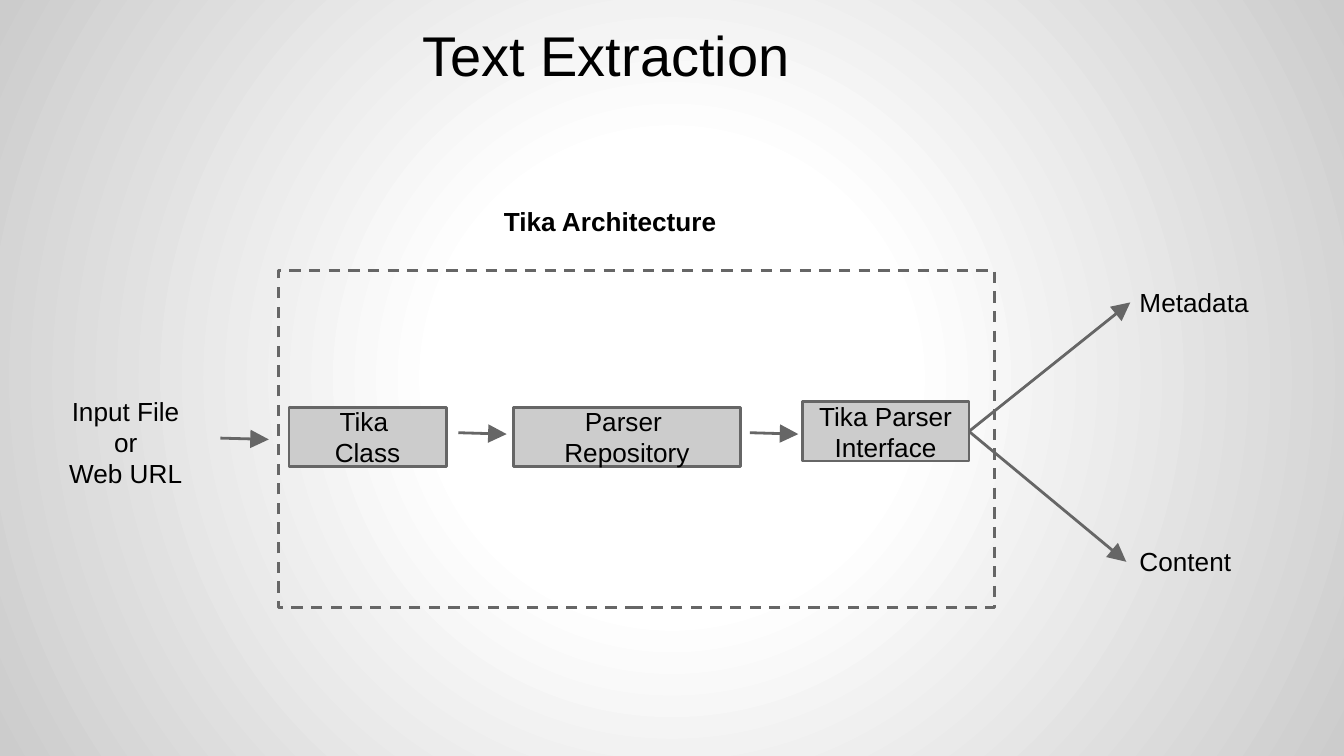
from pptx import Presentation
from pptx.dml.color import RGBColor
from pptx.enum.dml import MSO_LINE
from pptx.enum.shapes import MSO_CONNECTOR, MSO_SHAPE
from pptx.enum.text import MSO_ANCHOR, PP_ALIGN
from pptx.oxml import parse_xml
from pptx.oxml.ns import nsdecls, qn
from pptx.util import Inches, Pt

BLACK = RGBColor(0x00, 0x00, 0x00)
WHITE = RGBColor(0xFF, 0xFF, 0xFF)
SILVER = RGBColor(0xCC, 0xCC, 0xCC)
GREY = RGBColor(0x66, 0x66, 0x66)

WIDTH = 10
HEIGHT = WIDTH * 9 / 16
BOX_HEIGHT = 0.44
ARROW_LENGTH, ARROW_DROP = 0.36, 0.01
BACKDROP = [(0, WHITE), (30, WHITE), (100, SILVER)]

TITLE = ("Text Extraction", (2.58, -0.19, 3.86, 0.94))
FRAME = (2.07, 2.01, 5.33, 2.51)
STAGES = [
    (["Tika ", "Class"], 2.15, 3.03, 1.17),
    (["Parser ", "Repository"], 3.82, 3.03, 1.69),
    (["Tika Parser", " Interface "], 5.97, 2.99, 1.24),
]
LABELS = [
    (["Tika Architecture"], (2.76, 1.43, 3.56, 0.5), PP_ALIGN.CENTER, True),
    (["Input File", "or", "Web URL"], (-0.09, 2.84, 2.05, 0.64), PP_ALIGN.CENTER, False),
    (["Metadata"], (8.06, 2.03, 1.65, 0.32), PP_ALIGN.CENTER, False),
    (["Content"], (8.38, 3.96, 1.09, 0.44), PP_ALIGN.LEFT, False),
]
FLOW_STARTS = [(1.64, 3.26), (3.41, 3.22), (5.58, 3.22)]
OUTPUT_ENDS = [(8.41, 2.25), (8.38, 4.18)]

TEXT_FRAME = {
    "word_wrap": True,
    "margin_left": Inches(0.1),
    "margin_right": Inches(0.1),
    "margin_top": Inches(0.1),
    "margin_bottom": Inches(0.1),
}


def apply(target, values):
    for name, value in values.items():
        setattr(target, name, value)


def place(box):
    return [Inches(length) for length in box]


def write(holder, lines, anchor, align=PP_ALIGN.CENTER, size=14, bold=False):
    frame = holder.text_frame
    apply(frame, TEXT_FRAME | {"vertical_anchor": anchor})
    frame.text = "\n".join(lines)
    for paragraph in frame.paragraphs:
        apply(paragraph, {"alignment": align, "line_spacing": 1.0,
                          "space_before": Pt(0), "space_after": Pt(0)})
        for run in paragraph.runs:
            apply(run.font, {"name": "Arial", "size": Pt(size), "bold": bold})
            run.font.color.rgb = BLACK


def outline(line):
    line.color.rgb = GREY
    line.width = Pt(1.5)


def add_rectangle(slide, box):
    rectangle = slide.shapes.add_shape(MSO_SHAPE.RECTANGLE, *place(box))
    rectangle.shadow.inherit = False
    outline(rectangle.line)
    return rectangle


def add_arrow(slide, start, end):
    arrow = slide.shapes.add_connector(MSO_CONNECTOR.STRAIGHT, *place(start + end))
    outline(arrow.line)
    properties = arrow.element.spPr
    properties.find(qn("a:ln")).append(
        parse_xml(f'<a:tailEnd {nsdecls("a")} type="triangle" w="lg" len="lg"/>')
    )
    properties.append(parse_xml(f'<a:effectLst {nsdecls("a")}/>'))


def paint_backdrop(slide):
    slide.background.fill.gradient()
    linear = slide.element.find(f'.//{qn("a:gradFill")}')
    stops = "".join(
        f'<a:gs pos="{share * 1000}"><a:srgbClr val="{color}"/></a:gs>' for share, color in BACKDROP
    )
    radial = parse_xml(
        f'<a:gradFill {nsdecls("a")} rotWithShape="1"><a:gsLst>{stops}</a:gsLst>'
        '<a:path path="circle"><a:fillToRect l="50000" t="50000" r="50000" b="50000"/></a:path>'
        '</a:gradFill>'
    )
    linear.getparent().replace(linear, radial)


def main():
    deck = Presentation()
    apply(deck, {"slide_width": Inches(WIDTH), "slide_height": Inches(HEIGHT)})
    slide = deck.slides.add_slide(deck.slide_layouts[5])
    paint_backdrop(slide)

    heading, heading_box = TITLE
    title = slide.shapes.title
    apply(title, dict(zip(("left", "top", "width", "height"), place(heading_box))))
    write(title, [heading], MSO_ANCHOR.BOTTOM, size=30)

    boundary = add_rectangle(slide, FRAME)
    boundary.fill.background()
    boundary.line.dash_style = MSO_LINE.DASH

    for lines, left, top, width in STAGES:
        stage = add_rectangle(slide, (left, top, width, BOX_HEIGHT))
        stage.fill.solid()
        stage.fill.fore_color.rgb = SILVER
        write(stage, lines, MSO_ANCHOR.MIDDLE)

    for lines, box, align, bold in LABELS:
        label = slide.shapes.add_textbox(*place(box))
        write(label, lines, MSO_ANCHOR.TOP, align, bold=bold)

    for x, y in FLOW_STARTS:
        add_arrow(slide, (x, y), (x + ARROW_LENGTH, y + ARROW_DROP))

    _, left, top, width = STAGES[-1]
    for end in OUTPUT_ENDS:
        add_arrow(slide, (left + width, top + BOX_HEIGHT / 2), end)

    deck.save("out.pptx")


if __name__ == "__main__":
    main()
